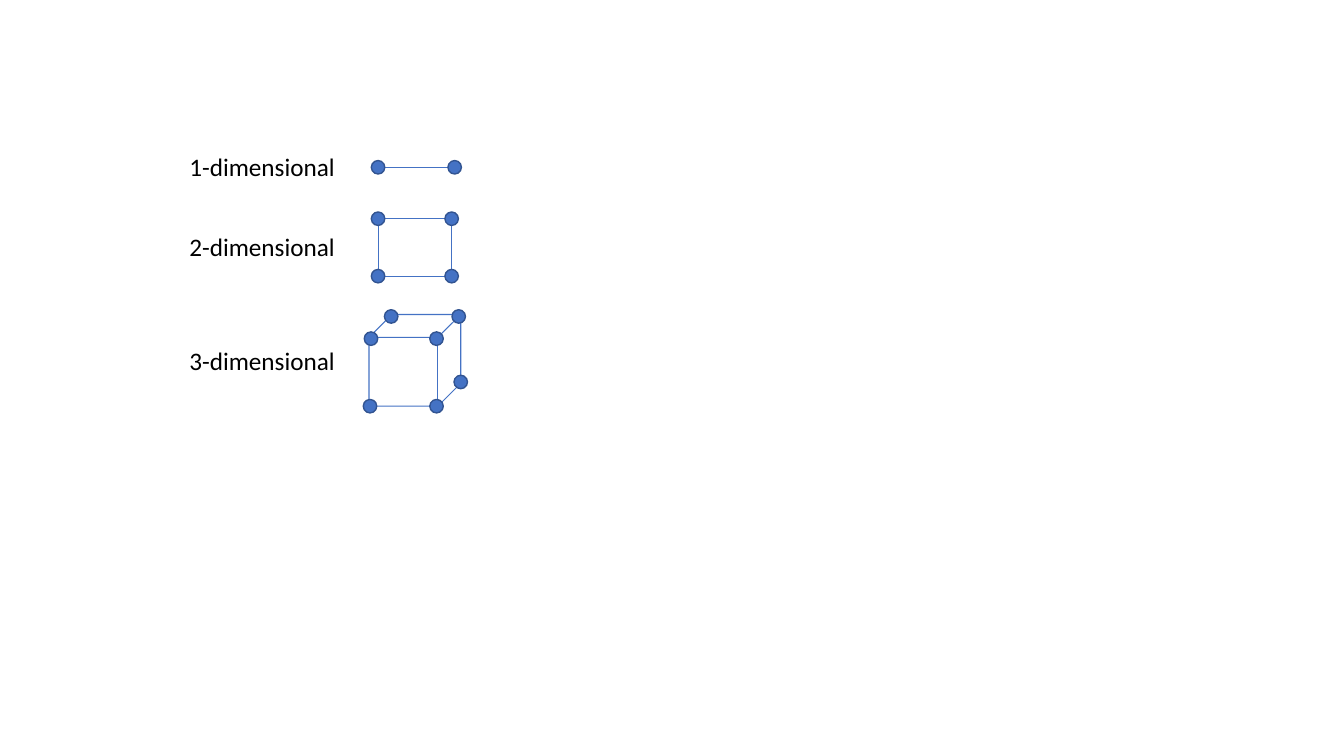
from itertools import product

from lxml import etree
from pptx import Presentation
from pptx.dml.color import RGBColor
from pptx.enum.shapes import MSO_CONNECTOR, MSO_SHAPE
from pptx.enum.text import MSO_AUTO_SIZE
from pptx.oxml.ns import qn
from pptx.util import Inches, Pt

STRAIGHT = MSO_CONNECTOR.STRAIGHT
OVAL = MSO_SHAPE.OVAL
CUBE = MSO_SHAPE.CUBE
FIT_SHAPE = MSO_AUTO_SIZE.SHAPE_TO_FIT_TEXT

COLORS = {"edge": "4472C4", "vertex": "4472C4", "vertex_outline": "325491", "text": "000000"}
FONT = "Calibri"
CELL = 0.1
RADIUS = 0.67
LABEL_COLUMN, LABEL_WIDTH, LABEL_HEIGHT = 17.8, 18.2, 4
LABEL_ROWS = (14.5, 22.5, 33.8)
SEGMENT_COLUMNS, SEGMENT_ROW = (37.5, 45.1), 16.6
SQUARE_COLUMNS, SQUARE_ROWS = (37.5, 44.8), (21.7, 27.4)
CUBE_COLUMN, CUBE_ROW, CUBE_SIZE = 36.6, 31.2, 9.1
CUBE_VERTICES = (
    (36.8, 33.6), (43.3, 33.6), (38.8, 31.4), (45.5, 31.4),
    (45.7, 37.9), (43.3, 40.3), (36.7, 40.3),
)


def grid(*cells):
    """Turn grid positions into slide lengths."""
    return [Inches(cell * CELL) for cell in cells]


def color(name):
    """Look up a named colour."""
    return RGBColor.from_string(COLORS[name])


def style_line(line, name, width):
    """Set the colour and the width of a line."""
    line.color.rgb = color(name)
    line.width = Pt(width)


def add_edge(slide, start, end):
    """Draw a straight edge between two grid points."""
    connector = slide.shapes.add_connector(STRAIGHT, *grid(*start, *end))
    style_line(connector.line, "edge", 0.75)
    etree.SubElement(connector._element.spPr, qn("a:effectLst"))


def add_vertex(slide, column, row):
    """Draw a round vertex centred on a grid point."""
    bounds = grid(column - RADIUS, row - RADIUS, 2 * RADIUS, 2 * RADIUS)
    shape = slide.shapes.add_shape(OVAL, *bounds)
    shape.shadow.inherit = False
    shape.fill.solid()
    shape.fill.fore_color.rgb = color("vertex")
    style_line(shape.line, "vertex_outline", 1)


def add_cube(slide):
    """Draw the unfilled cube."""
    shape = slide.shapes.add_shape(CUBE, *grid(CUBE_COLUMN, CUBE_ROW, CUBE_SIZE, CUBE_SIZE))
    shape.shadow.inherit = False
    shape.fill.background()
    style_line(shape.line, "edge", 0.75)


def add_label(slide, text, row):
    """Write a label in the label column."""
    box = slide.shapes.add_textbox(*grid(LABEL_COLUMN, row, LABEL_WIDTH, LABEL_HEIGHT))
    frame = box.text_frame
    frame.word_wrap = True
    frame.auto_size = FIT_SHAPE
    paragraph = frame.paragraphs[0]
    paragraph.text = text
    paragraph.font.name = FONT
    paragraph.font.size = Pt(18)
    paragraph.font.color.rgb = color("text")


def main():
    """Build and save the slide."""
    presentation = Presentation()
    presentation.slide_width = Inches(13.33)
    presentation.slide_height = Inches(7.5)
    slide = presentation.slides.add_slide(presentation.slide_layouts[6])

    left, right = SEGMENT_COLUMNS
    add_edge(slide, (left - RADIUS, SEGMENT_ROW), (right + RADIUS, SEGMENT_ROW))
    for column in SEGMENT_COLUMNS:
        add_vertex(slide, column, SEGMENT_ROW)

    left, right = SQUARE_COLUMNS
    top, bottom = SQUARE_ROWS
    for row in SQUARE_ROWS:
        add_edge(slide, (left - RADIUS, row), (right + RADIUS, row))
    for column in SQUARE_COLUMNS:
        add_edge(slide, (column, top - RADIUS), (column, bottom + RADIUS))
    for column, row in product(SQUARE_COLUMNS, SQUARE_ROWS):
        add_vertex(slide, column, row)

    add_cube(slide)
    for column, row in CUBE_VERTICES:
        add_vertex(slide, column, row)

    for dimension, row in enumerate(LABEL_ROWS, start=1):
        add_label(slide, f"{dimension}-dimensional", row)
    presentation.save("out.pptx")


if __name__ == "__main__":
    main()
